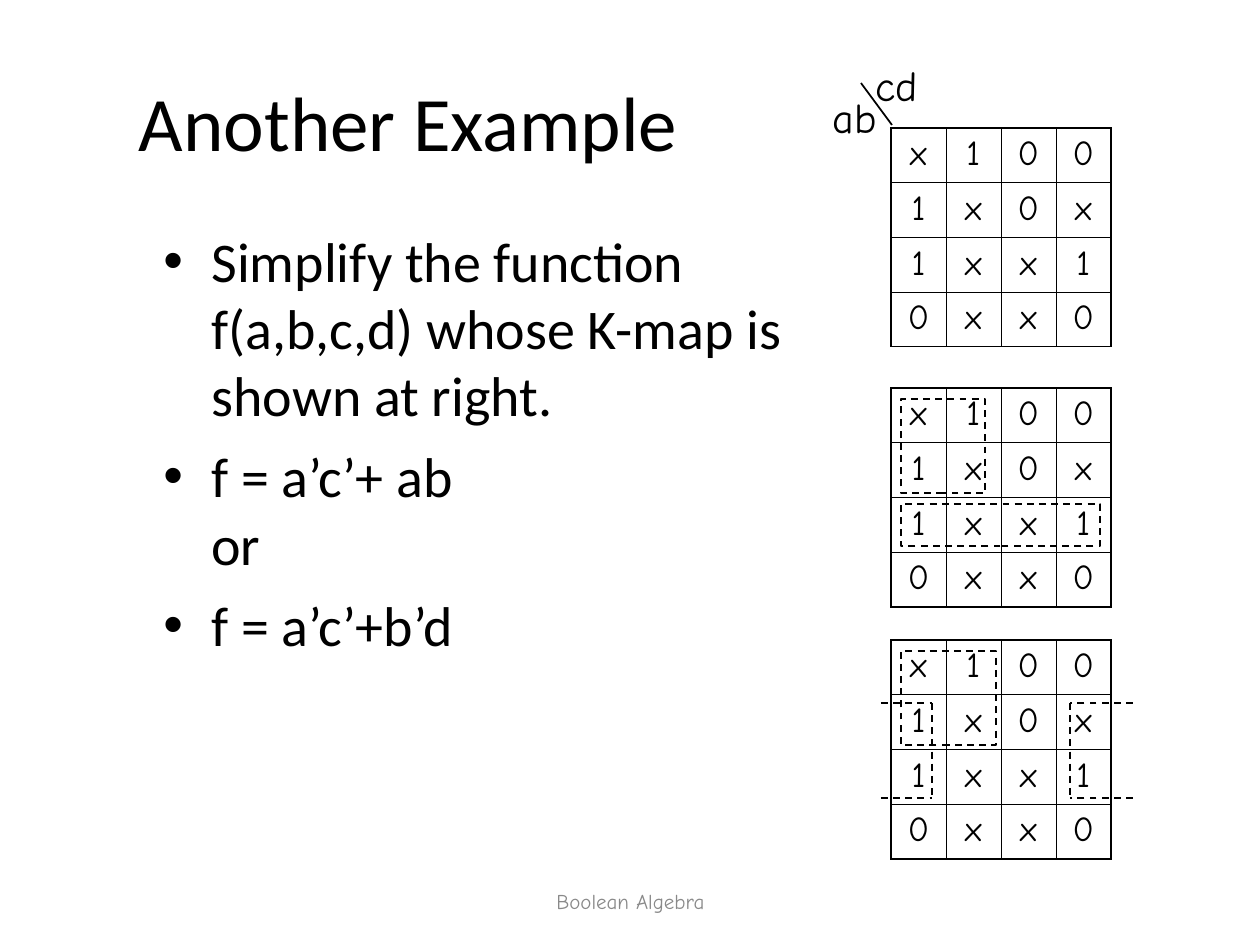
from dataclasses import dataclass

from lxml import etree
from pptx import Presentation
from pptx import util as u
from pptx.dml.color import RGBColor
from pptx.enum import dml, shapes, text
from pptx.oxml.ns import qn


@dataclass(frozen=True)
class Theme:
    ink: str = "000000"
    muted: str = "898989"
    main_font: str = "Calibri"
    map_font: str = "Comic Neue"
    title_size: int = 44
    body_size: int = 32
    axis_size: int = 24
    cell_size: int = 20
    footer_size: int = 12
    stroke: float = 1
    outer_border: float = 1.08
    inner_border: float = 0.45


THEME = Theme()
PX_PER_INCH = 126

MAP_VALUES = ["x100", "1x0x", "1xx1", "0xx0"]
MAP_LEFT, MAP_WIDTH, MAP_HEIGHT = 891, 220, 218
MAP_TOPS = [128, 388, 640]
BULLETS = [
    ["Simplify the function f(a,b,c,d) whose K-map is shown at right."],
    ["f = a’c’+ ab", "or"],
    ["f = a’c’+b’d"],
]
GROUPINGS = [(901, 399, 84, 94), (901, 504, 199, 42), (901, 651, 95, 94)]
BRACKET_TOP, BRACKET_BOTTOM = 703, 798
BRACKETS = [(881, 932), (1133, 1070)]


def px(count):
    return u.Emu(round(count * 914400 / PX_PER_INCH))


def add_run(paragraph, content, size, font, color=THEME.ink):
    run = paragraph.add_run()
    run.text = content
    run.font.size = u.Pt(size)
    run.font.name = font
    run.font.color.rgb = RGBColor.from_string(color)


def add_frame(slide, box, wrap=True, anchor=text.MSO_ANCHOR.TOP):
    frame = slide.shapes.add_textbox(*map(px, box)).text_frame
    frame.word_wrap = wrap
    frame.vertical_anchor = anchor
    return frame


def add_title(slide):
    frame = add_frame(slide, (0, 42, 1260, 157), anchor=text.MSO_ANCHOR.MIDDLE)
    frame.margin_left = px(139)
    add_run(frame.paragraphs[0], "Another Example", THEME.title_size, THEME.main_font)


def add_bullets(slide):
    frame = add_frame(slide, (151, 220, 678, 624))
    for index, lines in enumerate(BULLETS):
        paragraph = frame.add_paragraph() if index else frame.paragraphs[0]
        properties = paragraph._p.get_or_add_pPr()
        properties.set("marL", str(px(48)))
        properties.set("indent", str(-px(48)))
        etree.SubElement(properties, qn("a:buFont"), typeface="Arial")
        etree.SubElement(properties, qn("a:buChar"), char="•")
        if index:
            paragraph.space_before = u.Pt(8)
        for number, line in enumerate(lines):
            if number:
                paragraph.add_line_break()
            add_run(paragraph, line, THEME.body_size, THEME.main_font)


def add_footer(slide):
    frame = add_frame(slide, (431, 876, 399, 50), anchor=text.MSO_ANCHOR.MIDDLE)
    paragraph = frame.paragraphs[0]
    paragraph.alignment = text.PP_ALIGN.CENTER
    add_run(paragraph, "Boolean Algebra", THEME.footer_size, THEME.map_font, THEME.muted)


def add_axis_label(slide, content, left, top):
    frame = add_frame(slide, (left, top, 69, 63), wrap=False)
    add_run(frame.paragraphs[0], content, THEME.axis_size, THEME.map_font)


def set_borders(cell, outer_sides):
    """Draw all four borders, heavier on the sides at the edge of the map."""
    properties = cell._tc.get_or_add_tcPr()
    for side, is_outer in outer_sides.items():
        width = THEME.outer_border if is_outer else THEME.inner_border
        border = etree.SubElement(properties, qn(f"a:ln{side}"), w=str(u.Pt(width)))
        fill = etree.SubElement(border, qn("a:solidFill"))
        etree.SubElement(fill, qn("a:srgbClr"), val=THEME.ink)


def add_karnaugh_map(slide, top):
    size = len(MAP_VALUES)
    box = map(px, (MAP_LEFT, top, MAP_WIDTH, MAP_HEIGHT))
    grid = slide.shapes.add_table(size, size, *box).table
    grid.first_row = grid.horz_banding = False
    for row, values in enumerate(MAP_VALUES):
        for column, value in enumerate(values):
            cell = grid.cell(row, column)
            set_borders(cell, {"L": column == 0, "R": column == size - 1,
                               "T": row == 0, "B": row == size - 1})
            cell.fill.background()
            paragraph = cell.text_frame.paragraphs[0]
            paragraph.alignment = text.PP_ALIGN.CENTER
            add_run(paragraph, value, THEME.cell_size, THEME.map_font)


def style_line(line, dashed):
    line.color.rgb = RGBColor.from_string(THEME.ink)
    line.width = u.Pt(THEME.stroke)
    if dashed:
        line.dash_style = dml.MSO_LINE.DASH


def add_grouping(slide, box):
    loop = slide.shapes.add_shape(shapes.MSO_SHAPE.RECTANGLE, *map(px, box))
    loop.shadow.inherit = False
    loop.fill.background()
    style_line(loop.line, dashed=True)


def add_line(parent, start, end, dashed=False):
    line = parent.shapes.add_connector(
        shapes.MSO_CONNECTOR.STRAIGHT, *map(px, (*start, *end)))
    etree.SubElement(line._element.spPr, qn("a:effectLst"))
    style_line(line.line, dashed)


def add_bracket(slide, open_x, closed_x):
    """Draw a grouping left open on the side where it wraps round the map."""
    bracket = slide.shapes.add_group_shape()
    top, bottom = BRACKET_TOP, BRACKET_BOTTOM
    add_line(bracket, (open_x, top), (closed_x, top), dashed=True)
    add_line(bracket, (closed_x, top), (closed_x, bottom), dashed=True)
    add_line(bracket, (open_x, bottom), (closed_x, bottom), dashed=True)


def main():
    deck = Presentation()
    deck.slide_width, deck.slide_height = px(1260), px(945)
    slide = deck.slides.add_slide(deck.slide_layouts[6])

    add_title(slide)
    add_bullets(slide)
    add_footer(slide)
    for top in MAP_TOPS:
        add_karnaugh_map(slide, top)
    for box in GROUPINGS:
        add_grouping(slide, box)
    for open_x, closed_x in BRACKETS:
        add_bracket(slide, open_x, closed_x)
    add_axis_label(slide, "ab", 820, 85)
    add_axis_label(slide, "cd", 863, 53)
    add_line(slide, (892, 125), (861, 83))

    deck.save("out.pptx")


if __name__ == "__main__":
    main()
